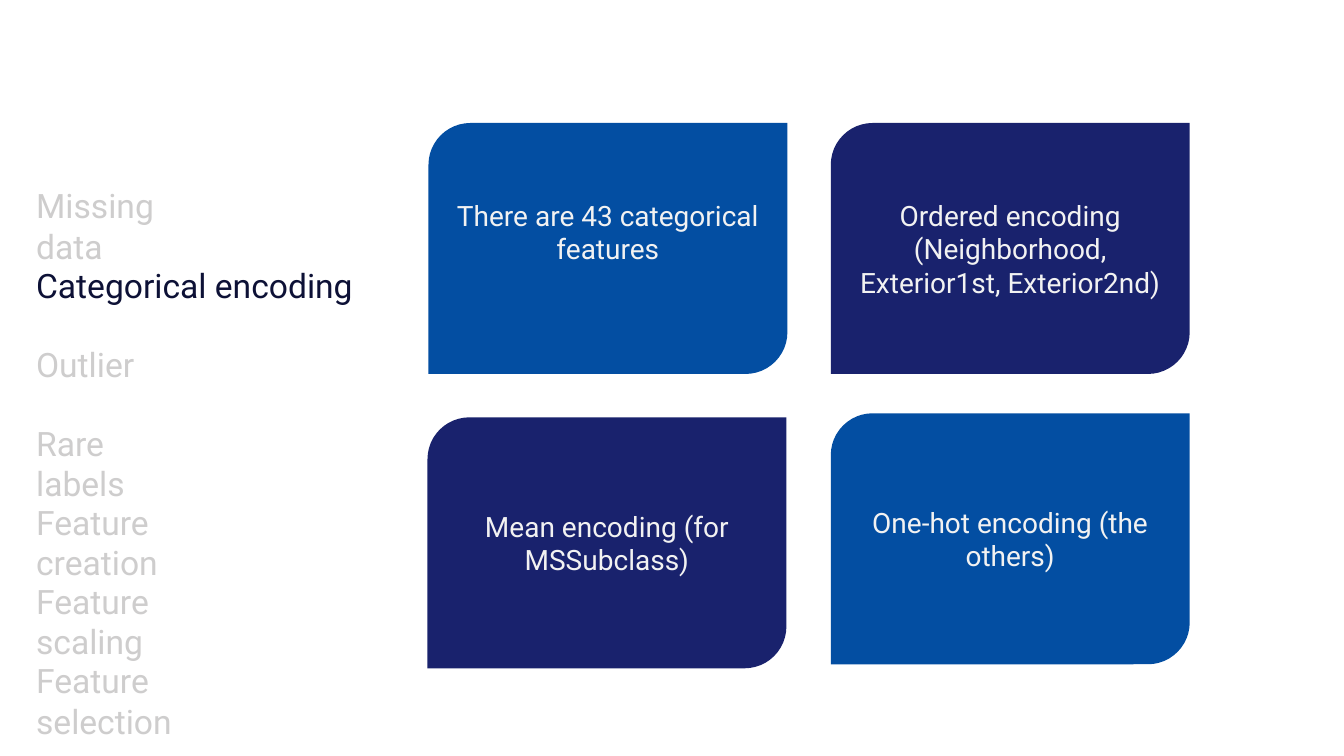
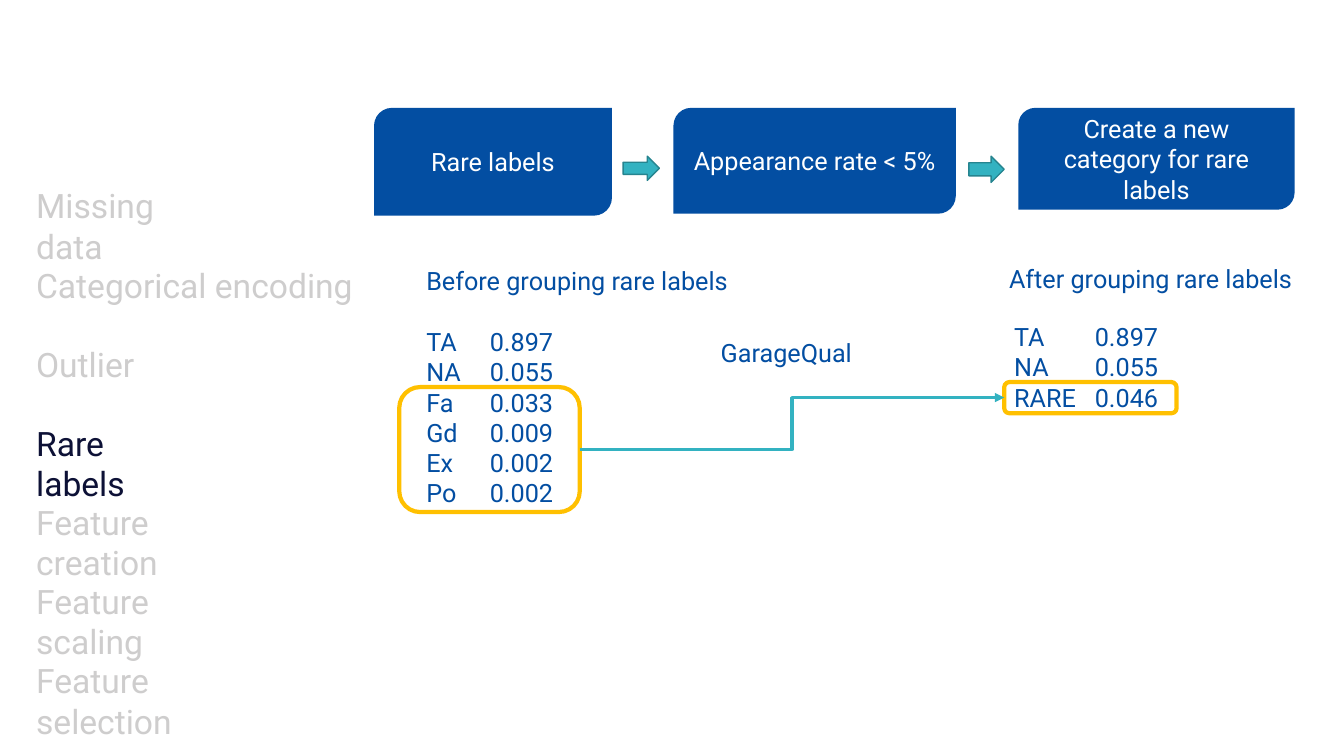
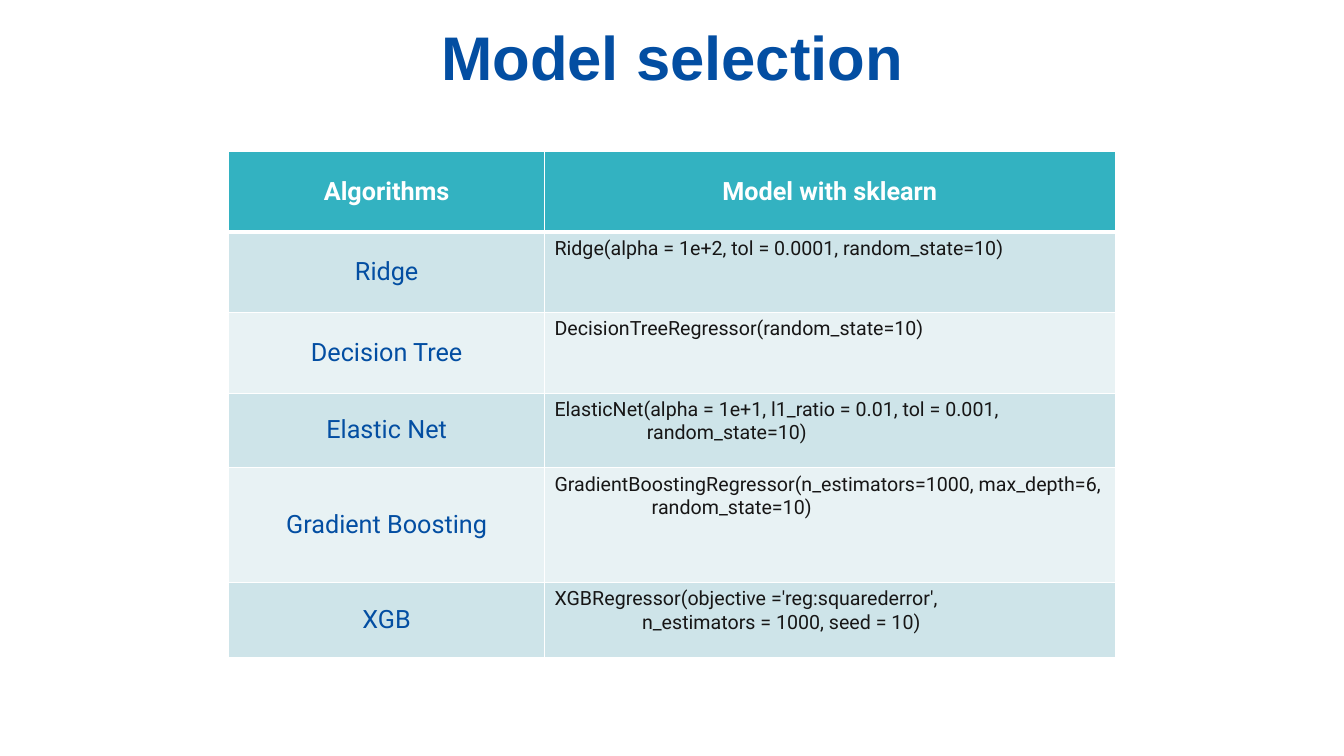
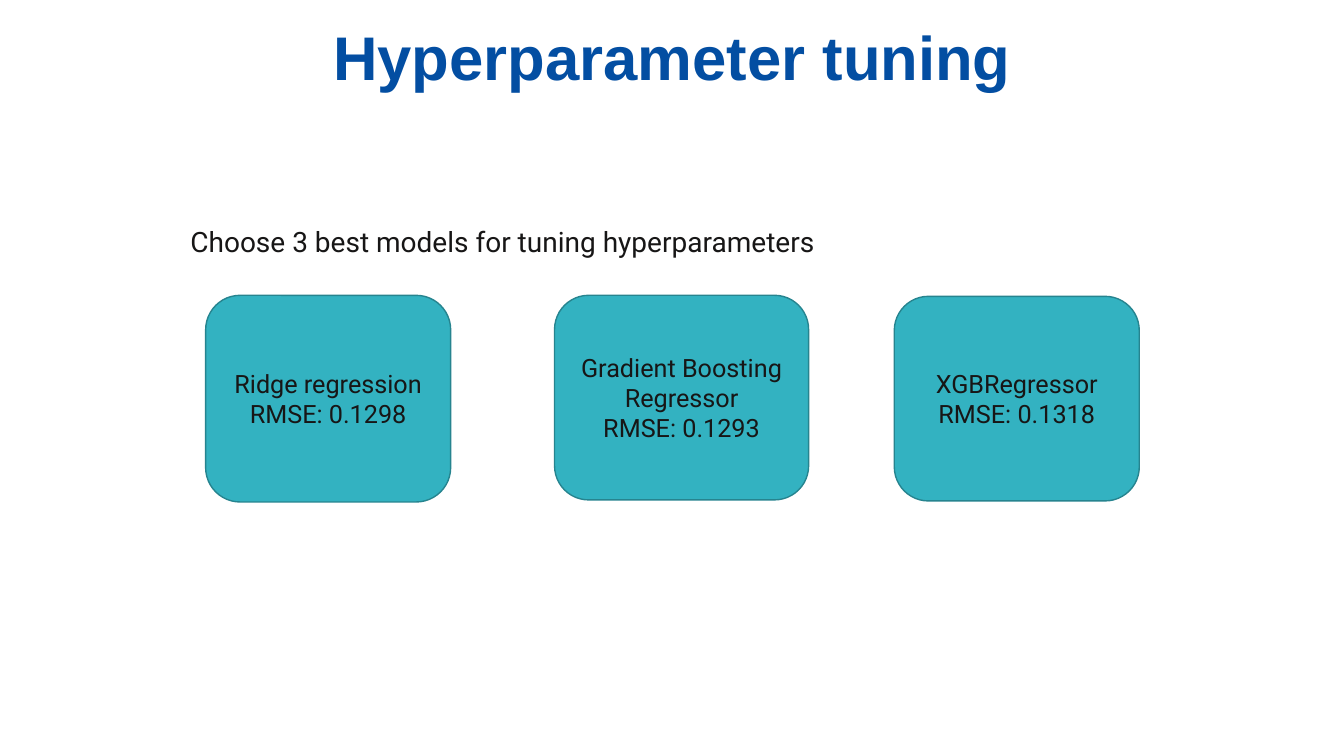
from dataclasses import dataclass

from lxml import etree
from pptx import Presentation
from pptx.dml.color import RGBColor
from pptx.enum import shapes, text
from pptx.oxml import ns
from pptx.util import Inches, Pt


@dataclass(frozen=True)
class Theme:
    blue: str = "034EA2"
    navy: str = "19226D"
    teal: str = "33B2C1"
    edge: str = "26848F"
    gold: str = "FFC000"
    dark: str = "0D1136"
    ink: str = "171616"
    gray: str = "CECDCD"
    pale: str = "F2F2F2"
    white: str = "FFFFFF"
    bands: tuple = ("E8F2F4", "CEE4E9")
    head: str = "Arial"
    body: str = "Roboto"
    title: int = 44
    step: int = 24
    card: int = 20
    base: int = 18
    code: int = 14


T = Theme()
KIND = shapes.MSO_SHAPE
LEFT, MID = text.PP_ALIGN.LEFT, text.PP_ALIGN.CENTER
TOP, CORE = text.MSO_ANCHOR.TOP, text.MSO_ANCHOR.MIDDLE


def write(frame, words, size=T.base, color=T.blue, font=T.body, bold=False,
          align=LEFT, anchor=TOP, space=None, tab=None):
    """Fill a text frame with one paragraph per line of words."""
    frame.word_wrap = True
    frame.vertical_anchor = anchor
    for i, line in enumerate(words.split("\n")):
        para = frame.add_paragraph() if i else frame.paragraphs[0]
        para.alignment = align
        if space:
            para.line_spacing = space
        if tab:
            stops = etree.SubElement(para._p.get_or_add_pPr(), ns.qn("a:tabLst"))
            etree.SubElement(stops, ns.qn("a:tab"), pos=str(Inches(tab)), algn="l")
        para.text = line
        for run in para.runs:
            run.font.size = Pt(size)
            run.font.name = font
            run.font.bold = bold
            run.font.color.rgb = RGBColor.from_string(color)


def draw(slide, kind, at, fill=None, line=None, width=1):
    """Add a preset shape, or a text box when kind is None."""
    spot = [Inches(n) for n in at]
    if kind is None:
        return slide.shapes.add_textbox(*spot)
    shape = slide.shapes.add_shape(kind, *spot)
    shape.shadow.inherit = False
    for part, color in ((shape.fill, fill), (shape.line.fill, line)):
        if color:
            part.solid()
            part.fore_color.rgb = RGBColor.from_string(color)
        else:
            part.background()
    if line:
        shape.line.width = Pt(width)
    return shape


deck = Presentation()
deck.slide_width, deck.slide_height = Inches(13.33), Inches(7.5)
cards, rare, model, tune = [deck.slides.add_slide(deck.slide_layouts[6]) for _ in range(4)]

# Shared step list and titles
steps = [("Missing\vdata", 2.09), ("Categorical encoding", 3.4), ("Outlier", 1.22),
         ("Rare\vlabels", 1.81), ("Feature\vcreation", 2.6),
         ("Feature\vscaling", 2.42), ("Feature\vselection", 2.72)]
for slide, now in ((cards, 1), (rare, 3)):
    for i, (name, wide) in enumerate(steps):
        box = draw(slide, None, (0.26, 1.79 + i * 0.785, wide, 0.5))
        write(box.text_frame, name, size=T.step, color=T.dark if i == now else T.gray)
for slide, name in ((model, "Model selection"), (tune, "Hyperparameter tuning")):
    box = draw(slide, None, (0.92, 0.21, 11.5, 0.78))
    write(box.text_frame, name, size=T.title, font=T.head, bold=True,
          align=MID, anchor=CORE, space=0.9)

# Categorical encoding
for x, y, fill, words, foot in (
        (4.24, 4.14, T.navy, "Mean encoding (for MSSubclass)", 0.05),
        (8.24, 4.1, T.blue, "One-hot encoding (the others)", 0.05),
        (8.24, 1.22, T.navy, "Ordered encoding (Neighborhood, Exterior1st, Exterior2nd)", 0.05),
        (4.25, 1.22, T.blue, "There are 43 categorical features", 0.38)):
    card = draw(cards, KIND.ROUND_2_DIAG_RECTANGLE, (x, y, 3.56, 2.49), fill)
    card.text_frame.margin_bottom = Inches(foot)
    write(card.text_frame, words, size=T.card, color=T.pale, align=MID, anchor=CORE)

# Rare labels
for x, wide, high, words in (
        (3.71, 2.36, 1.07, "Rare labels"),
        (6.68, 2.8, 1.05, "Appearance rate < 5%"),
        (10.1, 2.74, 1.01, "Create a new category for rare labels")):
    card = draw(rare, KIND.ROUND_2_DIAG_RECTANGLE, (x, 1.07, wide, high), T.blue)
    write(card.text_frame, words, color=T.white, align=MID, anchor=CORE)
for at in ((6.18, 1.55, 0.36, 0.24), (9.61, 1.55, 0.35, 0.26)):
    draw(rare, KIND.RIGHT_ARROW, at, T.teal, T.edge)
for at, tab, words in (
        ((4.13, 3.19, 3.22, 1.92), 0.63,
         "TA\t0.897\nNA\t0.055\nFa\t0.033\nGd\t0.009\nEx\t0.002\nPo\t0.002"),
        ((9.96, 3.14, 3.22, 1.01), 0.8, "TA\t0.897\nNA\t0.055\nRARE\t0.046"),
        ((4.13, 2.58, 3.3, 0.4), None, "Before grouping rare labels"),
        ((9.91, 2.56, 3.1, 0.4), None, "After grouping rare labels"),
        ((7.05, 3.3, 1.6, 0.4), None, "GarageQual")):
    write(draw(rare, None, at).text_frame, words, tab=tab)
old, new = [draw(rare, KIND.ROUNDED_RECTANGLE, at, line=T.gold, width=3)
            for at in ((3.96, 3.84, 1.79, 1.24), (9.96, 3.79, 1.71, 0.31))]
link = rare.shapes.add_connector(shapes.MSO_CONNECTOR.ELBOW, Inches(5.75), Inches(4.46),
                                 Inches(9.96), Inches(3.95))
link.begin_connect(old, 3)
link.end_connect(new, 1)
link.line.width = Pt(2.25)
link.line.color.rgb = RGBColor.from_string(T.teal)
etree.SubElement(link.line._get_or_add_ln(), ns.qn("a:tailEnd"), type="triangle")
etree.SubElement(link._element.spPr, ns.qn("a:effectLst"))

# Model selection
rows = [
    ("Algorithms", "Model with sklearn", 0.8),
    ("Ridge", "Ridge(alpha = 1e+2, tol = 0.0001, random_state=10)", 0.8),
    ("Decision Tree", "DecisionTreeRegressor(random_state=10)", 0.8),
    ("Elastic Net", "ElasticNet(alpha = 1e+1, l1_ratio = 0.01, tol = 0.001,\n"
                    "                   random_state=10)", 0.74),
    ("Gradient Boosting", "GradientBoostingRegressor(n_estimators=1000, max_depth=6,\n"
                          "                    random_state=10)", 1.14),
    ("XGB", "XGBRegressor(objective ='reg:squarederror',\n"
            "                  n_estimators = 1000, seed = 10)", 0.74),
]
grid = model.shapes.add_table(len(rows), 2, Inches(2.27), Inches(1.5),
                              Inches(8.79), Inches(5.02)).table
for col, wide in zip(grid.columns, (3.13, 5.66)):
    col.width = Inches(wide)
for r, (name, call, high) in enumerate(rows):
    grid.rows[r].height = Inches(high)
    for c, words in enumerate((name, call)):
        cell = grid.cell(r, c)
        props = cell._tc.get_or_add_tcPr()
        for side in "LRTB":
            thick = (r, side) in ((0, "B"), (1, "T"))
            rim = etree.SubElement(props, ns.qn("a:ln" + side), w=str(Pt(3 if thick else 1)))
            paint = etree.SubElement(rim, ns.qn("a:solidFill"))
            etree.SubElement(paint, ns.qn("a:srgbClr"), val=T.white)
        cell.fill.solid()
        cell.fill.fore_color.rgb = RGBColor.from_string(T.bands[r % 2] if r else T.teal)
        if r and c:
            write(cell.text_frame, words, size=T.code, color=T.ink)
        else:
            write(cell.text_frame, words, color=T.blue if r else T.white,
                  bold=r == 0, align=MID)
            cell.vertical_anchor = CORE

# Hyperparameter tuning
lead = draw(tune, None, (1.79, 2.18, 6.9, 2.79))
write(lead.text_frame, "Choose 3 best models for tuning hyperparameters",
      size=T.card, color=T.ink)
for at, words in (
        ((2.04, 2.93, 2.43, 2.05), "Ridge regression\nRMSE: 0.1298"),
        ((5.5, 2.93, 2.52, 2.03), "Gradient Boosting Regressor\nRMSE: 0.1293"),
        ((8.87, 2.94, 2.43, 2.03), "XGBRegressor\nRMSE: 0.1318")):
    card = draw(tune, KIND.ROUNDED_RECTANGLE, at, T.teal, T.edge)
    write(card.text_frame, words, color=T.ink, align=MID, anchor=CORE)

deck.save("out.pptx")
